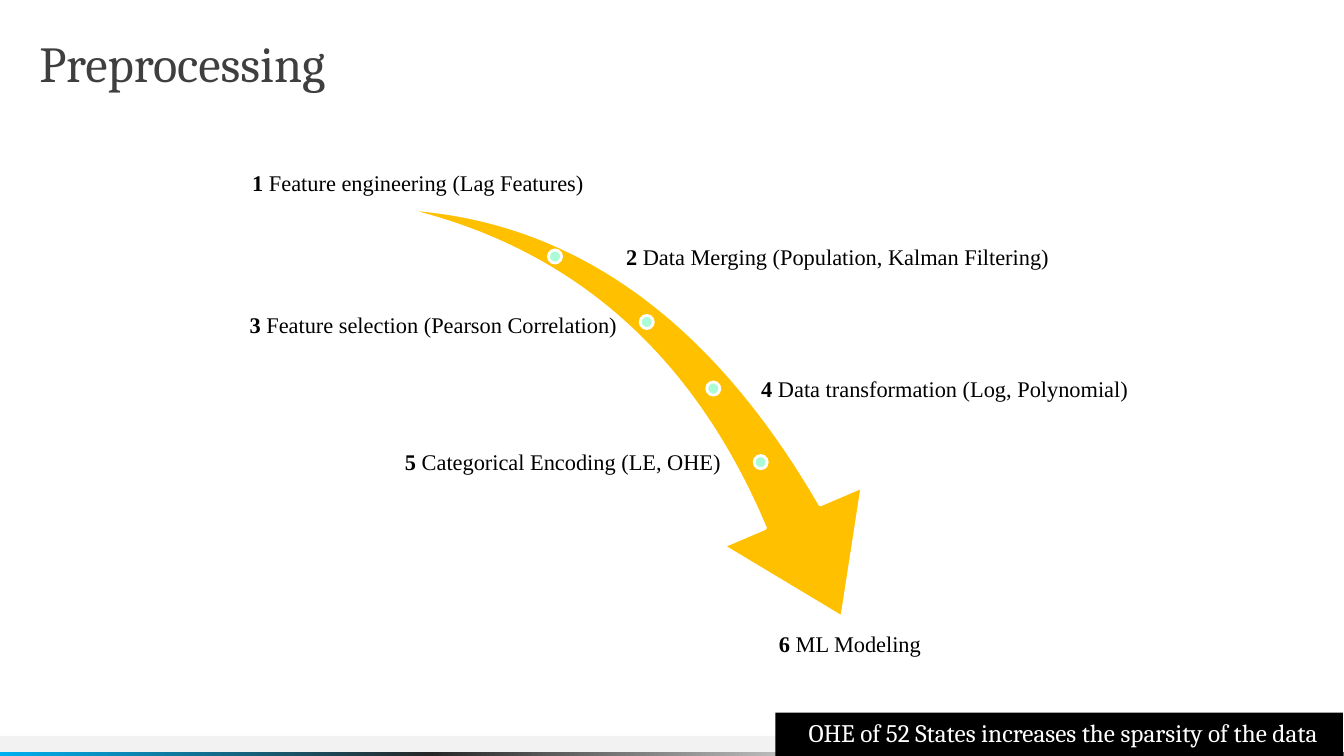
import pptx
import pptx.util
import pptx.dml.color
import pptx.enum.shapes
import pptx.enum.text
import pptx.oxml
import pptx.oxml.ns

PX = 9144  # EMU per px, 100 px to the inch
SHAPE = pptx.enum.shapes.MSO_SHAPE
ALIGN = pptx.enum.text.PP_ALIGN
ANCHOR = pptx.enum.text.MSO_ANCHOR
HEADING_FONT = "Cambria"
STEP_FONT = "Times New Roman"
STEP_SIZE = 16
DOT_SIZE = 13

COLORS = {
    "title": "3F3F3F",
    "text": "000000",
    "white": "FFFFFF",
    "arrow": "FFC000",
    "dot": "ABFBD7",
    "band": "F2F2F2",
    "note": "000000",
}
STRIPE_STOPS = [(0, "F2194A"), (37, "D8D8D8"), (68, "262626"), (100, "00B0F0")]

# Left and top of the dots along the arrow
DOTS = [(544, 248), (635, 313), (701, 379), (748, 452)]

# Number, wording, box, alignment, anchor, bottom inset
STEPS = [
    ("1", "Feature engineering (Lag Features)", (222, 157, 385, 40), ALIGN.CENTER, ANCHOR.BOTTOM, 2),
    ("2", "Data Merging (Population, Kalman Filtering)", (619, 209, 494, 95), ALIGN.LEFT, ANCHOR.MIDDLE, 2),
    ("3", "Feature selection (Pearson Correlation)", (176, 292, 438, 95), ALIGN.RIGHT, ANCHOR.MIDDLE, 34),
    ("4", "Data transformation (Log, Polynomial)", (753, 340, 388, 95), ALIGN.LEFT, ANCHOR.MIDDLE, 2),
    ("5", "Categorical Encoding (LE, OHE)", (187, 412, 530, 95), ALIGN.RIGHT, ANCHOR.MIDDLE, 2),
    ("6", "ML Modeling", (742, 626, 202, 49), ALIGN.CENTER, ANCHOR.TOP, 2),
]


def emu(box):
    return [length * PX for length in box]


def rgb(name):
    return pptx.dml.color.RGBColor.from_string(COLORS[name])


def format_frame(frame, insets, anchor):
    frame.word_wrap = True
    frame.auto_size = pptx.enum.text.MSO_AUTO_SIZE.NONE
    frame.vertical_anchor = anchor
    (frame.margin_left, frame.margin_top,
     frame.margin_right, frame.margin_bottom) = emu(insets)


def format_paragraph(paragraph, align, font, size, color):
    paragraph.alignment = align
    paragraph.line_spacing = 0.9
    for run in paragraph.runs:
        run.font.name = font
        run.font.size = pptx.util.Pt(size)
        run.font.bold = False
        run.font.color.rgb = rgb(color)


def add_filled(slide, kind, box, fill, outline=None):
    shape = slide.shapes.add_shape(kind, *emu(box))
    shape.shadow.inherit = False
    shape.fill.solid()
    shape.fill.fore_color.rgb = rgb(fill)
    if outline:
        shape.line.color.rgb = rgb(outline)
        shape.line.width = pptx.util.Pt(2)
    else:
        shape.line.fill.background()
    return shape


def set_gradient(shape, stops, angle):
    shape.fill.gradient()
    shape.fill.gradient_angle = angle
    stop_list = shape._element.spPr.find(".//" + pptx.oxml.ns.qn("a:gsLst"))
    for stop in list(stop_list):
        stop_list.remove(stop)
    for position, color in stops:
        stop_list.append(pptx.oxml.parse_xml(
            f'<a:gs {pptx.oxml.ns.nsdecls("a")} pos="{position * 1000}">'
            f'<a:srgbClr val="{color}"/></a:gs>'))


def add_footer(slide):
    add_filled(slide, SHAPE.RECTANGLE, (-1, 730, 1029, 16), "band")
    stripe = add_filled(slide, SHAPE.RECTANGLE, (-1, 746, 1334, 4), "band")
    set_gradient(stripe, STRIPE_STOPS, 180)


def add_note(slide, text):
    note = add_filled(slide, SHAPE.RECTANGLE, (769, 707, 563, 43), "note")
    note.text_frame.text = text
    format_frame(note.text_frame, (8, 8, 0, 0), ANCHOR.TOP)
    format_paragraph(note.text_frame.paragraphs[0], ALIGN.CENTER, HEADING_FONT, 18, "white")


def set_title(slide, text):
    title = slide.shapes.title
    title.left, title.top, title.width, title.height = emu((39, 39, 1255, 59))
    title.text_frame.text = text
    format_frame(title.text_frame, (0, 0, 0, 0), ANCHOR.TOP)
    format_paragraph(title.text_frame.paragraphs[0], ALIGN.LEFT, HEADING_FONT, 36, "title")


def add_arrow(slide):
    arrow = add_filled(slide, SHAPE.SWOOSH_ARROW, (386, 222, 514, 359), "arrow", "white")
    arrow.adjustments[0] = 0.163
    arrow.adjustments[1] = 0.314
    arrow.rotation = 73.3


def add_step(slide, number, wording, box, align, anchor, bottom_inset):
    label = slide.shapes.add_textbox(*emu(box))
    format_frame(label.text_frame, (2, 2, 2, bottom_inset), anchor)
    paragraph = label.text_frame.paragraphs[0]
    for part in (number, " " + wording):
        paragraph.add_run().text = part
    format_paragraph(paragraph, align, STEP_FONT, STEP_SIZE, "text")
    paragraph.runs[0].font.bold = True


def main():
    deck = pptx.Presentation()
    deck.slide_width, deck.slide_height = emu((1333, 750))
    slide = deck.slides.add_slide(deck.slide_layouts[5])

    # Footer and title
    add_footer(slide)
    add_note(slide, "OHE of 52 States increases the sparsity of the data")
    set_title(slide, "Preprocessing")

    # Arrow with its dots and steps
    add_arrow(slide)
    for left, top in DOTS:
        add_filled(slide, SHAPE.OVAL, (left, top, DOT_SIZE, DOT_SIZE), "dot", "white")
    for step in STEPS:
        add_step(slide, *step)

    deck.save("out.pptx")


if __name__ == "__main__":
    main()
